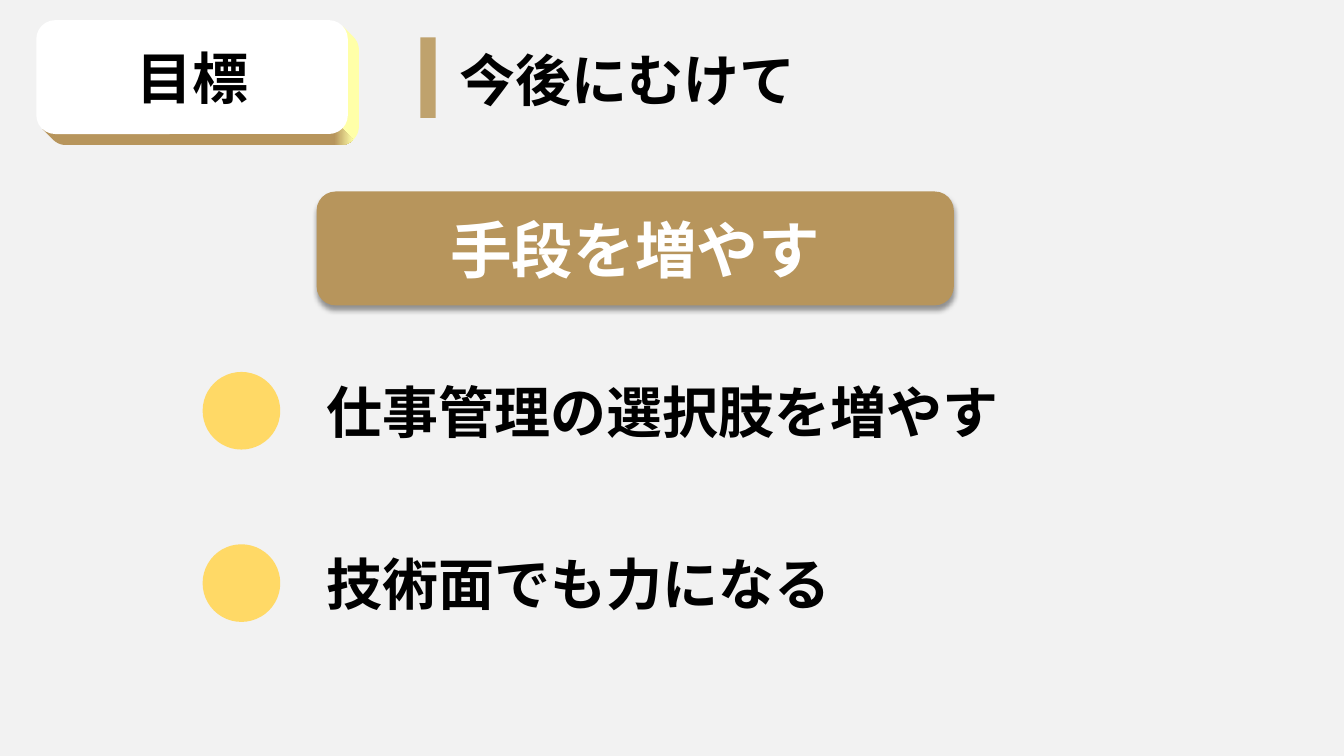
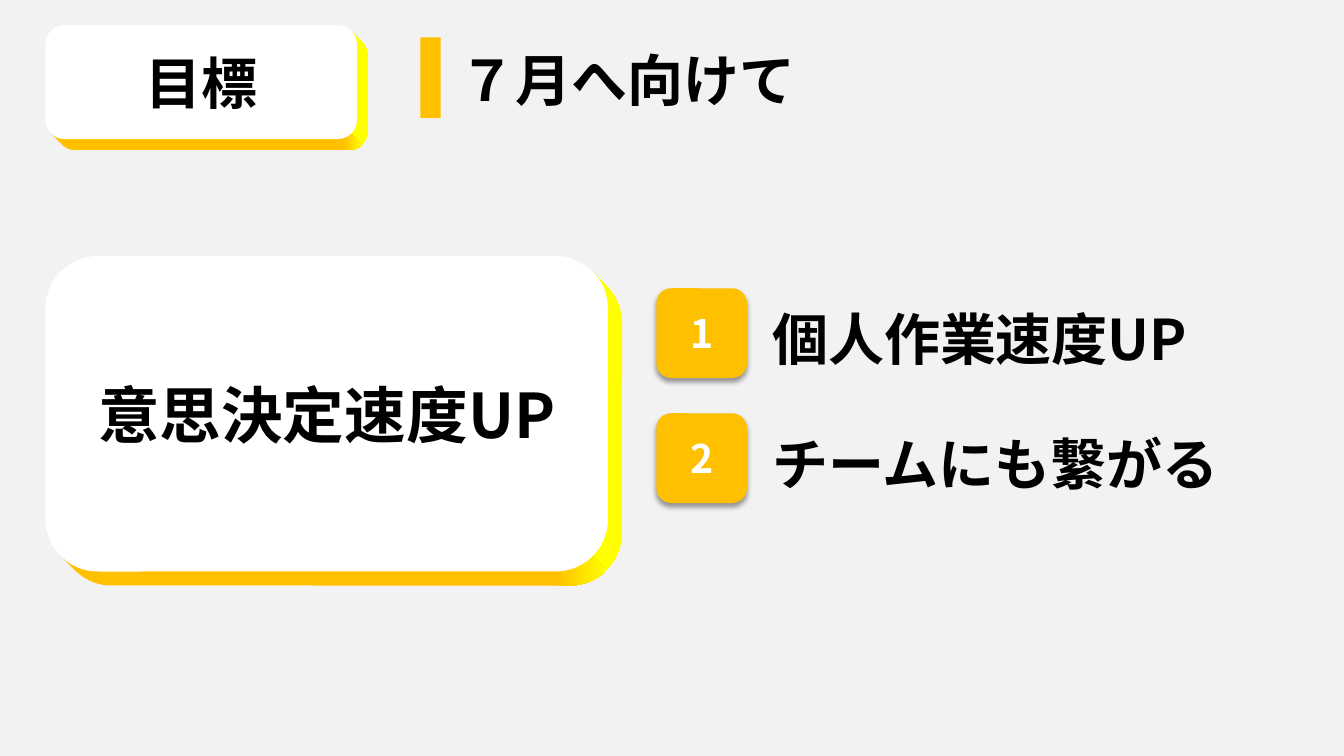
import math

from lxml import etree
from pptx import Presentation
from pptx.dml.color import RGBColor
from pptx.enum import shapes, text
from pptx.oxml import ns
from pptx.util import Inches, Pt

FONT = "Noto Sans CJK JP"
BLACK = RGBColor(0x00, 0x00, 0x00)
WHITE = RGBColor(0xFF, 0xFF, 0xFF)
GREY = RGBColor(0xF2, 0xF2, 0xF2)
TAN = RGBColor(0xB7, 0x95, 0x5C)
LIGHT_TAN = RGBColor(0xBF, 0xA2, 0x6D)
SAND = RGBColor(0xFF, 0xD9, 0x66)
PALE_YELLOW = RGBColor(0xFF, 0xFF, 0xA8)
AMBER = RGBColor(0xFF, 0xC0, 0x00)
YELLOW = RGBColor(0xFF, 0xFF, 0x00)

CORNER = 1 / 6  # corner radius of a rounded rectangle, as a share of its short side
ROUNDED = shapes.MSO_SHAPE.ROUNDED_RECTANGLE


def write(shape, words, size, color=BLACK, align=text.PP_ALIGN.CENTER):
    frame = shape.text_frame
    frame.word_wrap = True
    frame.vertical_anchor = text.MSO_ANCHOR.MIDDLE
    frame.text = words
    para = frame.paragraphs[0]
    para.alignment = align
    span = para.runs[0]
    span.font.size = Pt(size)
    span.font.bold = True
    span.font.color.rgb = color
    span.font.name = FONT
    east_asian = etree.SubElement(span.font._element, ns.qn("a:ea"))
    east_asian.set("typeface", FONT)


def add_label(page, box, words):
    label = page.shapes.add_textbox(*map(Inches, box))
    write(label, words, 40, align=text.PP_ALIGN.LEFT)


def add_block(page, kind, box, color):
    block = page.shapes.add_shape(kind, *map(Inches, box))
    block.shadow.inherit = False
    block.fill.solid()
    block.fill.fore_color.rgb = color
    block.line.fill.background()
    return block


def add_raised_block(page, box, color, words, size):
    """Rounded block with white text and a soft shadow beneath."""
    block = add_block(page, ROUNDED, box, color)
    effects = block._element.spPr.find(ns.qn("a:effectLst"))
    shadow = etree.SubElement(effects, ns.qn("a:outerShdw"), blurRad=str(Pt(4)),
                              dist=str(Pt(3)), dir="5400000", rotWithShape="0")
    tone = etree.SubElement(shadow, ns.qn("a:srgbClr"), val="000000")
    etree.SubElement(tone, ns.qn("a:alpha"), val="40000")
    write(block, words, size, WHITE)


def rim_point(box, degrees):
    """Point on the rounded outline, with angles clockwise from the right."""
    left, top, width, height = box
    radius = min(width, height) * CORNER
    cos, sin = math.cos(math.radians(degrees)), math.sin(math.radians(degrees))
    x = left + (width - radius if cos > 0 else radius) + radius * cos
    y = top + (height - radius if sin > 0 else radius) + radius * sin
    return x, y


def add_edge(page, box, depth, start):
    """One side of the slab: a quarter turn of the outline, moved by depth."""
    angles = range(start, start + 91, 5)
    near = [rim_point(box, angle) for angle in (start, start + 90)]
    far = [(x + depth, y + depth) for x, y in (rim_point(box, a) for a in angles)]
    outline = [near[0], *far, near[1]]
    points = [(Inches(x), Inches(y)) for x, y in outline]
    builder = page.shapes.build_freeform(*points[0])
    builder.add_line_segments(points[1:], close=True)
    edge = builder.convert_to_shape()
    edge.shadow.inherit = False
    edge.line.fill.background()
    return edge


def add_slab(page, box, depth, side_color, base_color, words, size):
    """White rounded card with a thick right side and base."""
    side = add_edge(page, box, depth, -45)
    side.fill.solid()
    side.fill.fore_color.rgb = side_color
    base = add_edge(page, box, depth, 45)
    base.fill.gradient()
    base.fill.gradient_angle = 0
    blend = min(box[2:]) * CORNER / box[2]
    stops = base.fill.gradient_stops
    for stop, color, position in zip(stops, (base_color, side_color), (1 - blend, 1)):
        stop.color.rgb = color
        stop.position = position
    write(add_block(page, ROUNDED, box, WHITE), words, size)


def add_page(deck):
    page = deck.slides.add_slide(deck.slide_layouts[6])
    page.background.fill.solid()
    page.background.fill.fore_color.rgb = GREY
    return page


def add_header(page, left, top, title, bar_width, bar_color, side_color, base_color):
    add_slab(page, (left, top, 3.09, 1.13), 0.11, side_color, base_color, "目標", 40)
    add_block(page, shapes.MSO_SHAPE.RECTANGLE, (4.17, 0.37, bar_width, 0.8), bar_color)
    add_label(page, (4.46, 0.4, 5, 0.77), title)


def add_dot_item(page, left, top, words):
    size = 0.77
    add_block(page, shapes.MSO_SHAPE.OVAL, (left, top, size, size), SAND)
    add_label(page, (left + 1.13, top, 8.18, size), words)


def add_numbered_item(page, left, top, number, words):
    add_raised_block(page, (left, top, 0.9, 0.89), AMBER, str(number), 28)
    add_label(page, (left + 1.05, top + 0.11, 4.82, 0.77), words)


def build_future_page(deck):
    page = add_page(deck)
    add_header(page, 0.36, 0.2, "今後にむけて", 0.15, LIGHT_TAN, PALE_YELLOW, TAN)
    add_raised_block(page, (3.14, 1.9, 6.32, 1.13), TAN, "手段を増やす", 44)
    for row, words in enumerate(("仕事管理の選択肢を増やす", "技術面でも力になる")):
        add_dot_item(page, 2.01, 3.69 + row * 1.71, words)


def build_july_page(deck):
    page = add_page(deck)
    add_header(page, 0.45, 0.25, "７月へ向けて", 0.2, AMBER, YELLOW, AMBER)
    add_slab(page, (0.45, 2.54, 5.58, 3.13), 0.14, YELLOW, AMBER, "意思決定速度UP", 44)
    for row, words in enumerate(("個人作業速度UP", "チームにも繋がる")):
        add_numbered_item(page, 6.51, 2.86 + row * 1.24, row + 1, words)


def main():
    deck = Presentation()
    deck.slide_width, deck.slide_height = Inches(13.33), Inches(7.5)
    build_future_page(deck)
    build_july_page(deck)
    deck.save("out.pptx")


if __name__ == "__main__":
    main()
